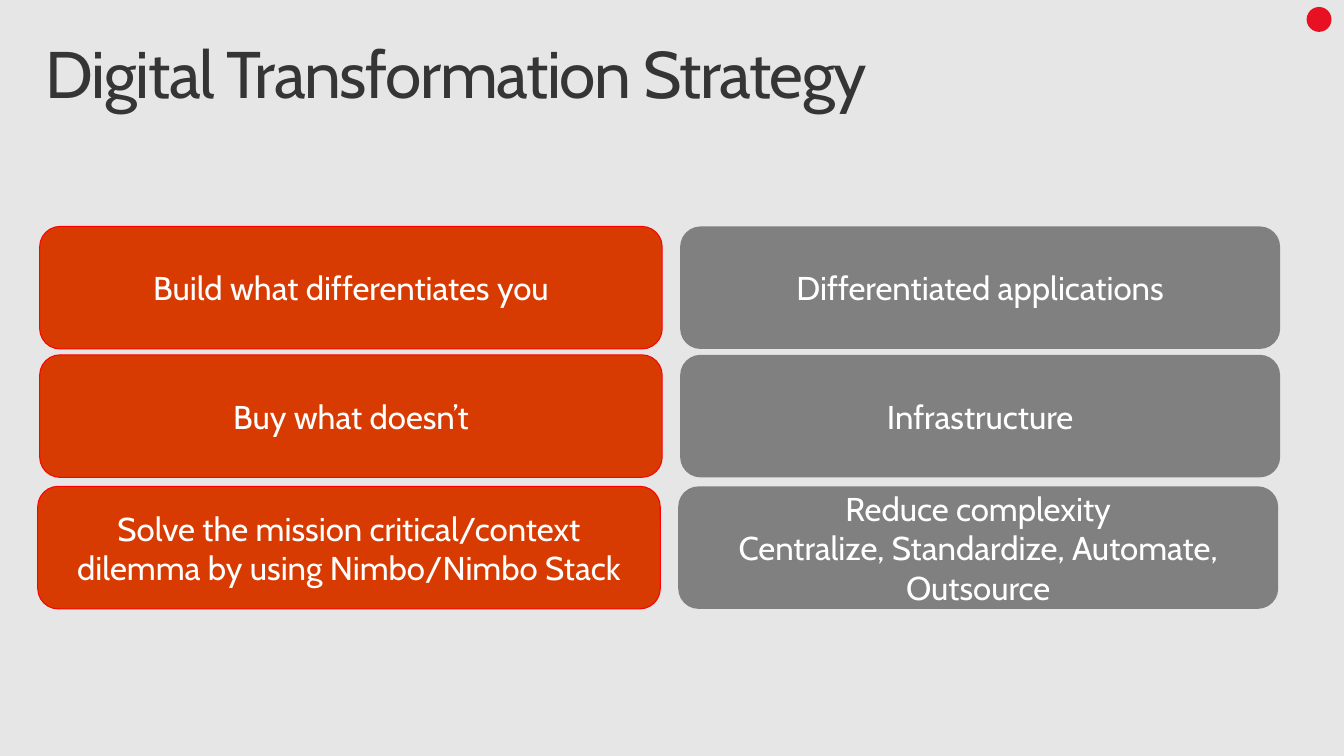
from dataclasses import dataclass
from typing import Any

from pptx import Presentation
from pptx.dml.color import RGBColor
from pptx.enum.shapes import MSO_SHAPE
from pptx.enum.text import MSO_ANCHOR, MSO_AUTO_SIZE, PP_ALIGN
from pptx.util import Cm, Pt

BACKGROUND = RGBColor(0xE6, 0xE6, 0xE6)
TITLE_GREY = RGBColor(0x35, 0x35, 0x35)
ORANGE = RGBColor(0xD8, 0x3B, 0x01)
RED = RGBColor(0xFF, 0x00, 0x00)
GREY = RGBColor(0x80, 0x80, 0x80)
DOT_RED = RGBColor(0xE8, 0x11, 0x23)
WHITE = RGBColor(0xFF, 0xFF, 0xFF)

TITLE_FRAME = {
    "margin_left": Cm(0.41), "margin_right": Cm(0.41),
    "margin_top": Cm(0.25), "margin_bottom": Cm(0.25),
    "vertical_anchor": MSO_ANCHOR.TOP, "word_wrap": True,
    "auto_size": MSO_AUTO_SIZE.NONE,
}
CARD_FRAME = {
    "margin_left": Cm(0.51), "margin_right": Cm(0.51),
    "margin_top": Cm(0.41), "margin_bottom": Cm(0.41),
    "vertical_anchor": MSO_ANCHOR.MIDDLE, "word_wrap": True,
}
TITLE_PARA = {"alignment": PP_ALIGN.LEFT, "line_spacing": 0.9}
CARD_PARA = {"alignment": PP_ALIGN.CENTER}
TITLE_FONT = {"name": "Cabin", "size": Pt(48)}
CARD_FONT = {"name": "Cabin", "size": Pt(24)}


@dataclass(frozen=True)
class Column:
    left: float
    width: float
    fill: RGBColor
    outline: RGBColor | None


@dataclass(frozen=True)
class Row:
    top: float
    shift: float
    texts: tuple[str, str]


CARD_HEIGHT = 3.15
COLUMNS = (
    Column(1.02, 16, ORANGE, RED),
    Column(17.48, 15.42, GREY, None),
)
ROWS = (
    Row(5.82, 0, ("Build what differentiates you", "Differentiated applications")),
    Row(9.12, 0, ("Buy what doesn’t", "Infrastructure")),
    Row(12.5, -0.05, (
        "Solve the mission critical/context dilemma by using Nimbo/Nimbo Stack",
        "Reduce complexity\nCentralize, Standardize, Automate, Outsource",
    )),
)


def apply(target: Any, values: dict[str, Any]) -> None:
    for name, value in values.items():
        setattr(target, name, value)


def write_text(box: Any, text: str, frame: dict[str, Any], layout: dict[str, Any],
               font: dict[str, Any], color: RGBColor) -> None:
    box.text_frame.text = text
    apply(box.text_frame, frame)
    for para in box.text_frame.paragraphs:
        apply(para, layout)
        for span in para.runs:
            apply(span.font, font)
            span.font.color.rgb = color


def add_filled(page: Any, kind: MSO_SHAPE, left: float, top: float, width: float,
               height: float, fill: RGBColor, outline: RGBColor | None = None) -> Any:
    box = page.shapes.add_shape(kind, Cm(left), Cm(top), Cm(width), Cm(height))
    box.shadow.inherit = False
    box.fill.solid()
    box.fill.fore_color.rgb = fill
    if outline is None:
        box.line.fill.background()
    else:
        box.line.color.rgb = outline
        box.line.width = Pt(0.75)
    return box


def add_title(page: Any, text: str) -> None:
    title = page.shapes.title
    apply(title, {"left": Cm(0.76), "top": Cm(0.81), "width": Cm(33.02), "height": Cm(2.54)})
    write_text(title, text, TITLE_FRAME, TITLE_PARA, TITLE_FONT, TITLE_GREY)
    for span in title.text_frame.paragraphs[0].runs:
        span.font._element.set("spc", "-100")


def add_card(page: Any, row: Row, column: Column, text: str) -> None:
    card = add_filled(page, MSO_SHAPE.ROUNDED_RECTANGLE, column.left + row.shift, row.top,
                      column.width, CARD_HEIGHT, column.fill, column.outline)
    write_text(card, text, CARD_FRAME, CARD_PARA, CARD_FONT, WHITE)


def main() -> None:
    deck = Presentation()
    apply(deck, {"slide_width": Cm(34.54), "slide_height": Cm(19.43)})
    page = deck.slides.add_slide(deck.slide_layouts[5])
    page.background.fill.solid()
    page.background.fill.fore_color.rgb = BACKGROUND
    add_title(page, "Digital Transformation Strategy")
    for row in ROWS:
        for column, text in zip(COLUMNS, row.texts):
            add_card(page, row, column, text)
    add_filled(page, MSO_SHAPE.FLOWCHART_CONNECTOR, 33.58, 0.18, 0.64, 0.64, DOT_RED)
    deck.save("out.pptx")


if __name__ == "__main__":
    main()
